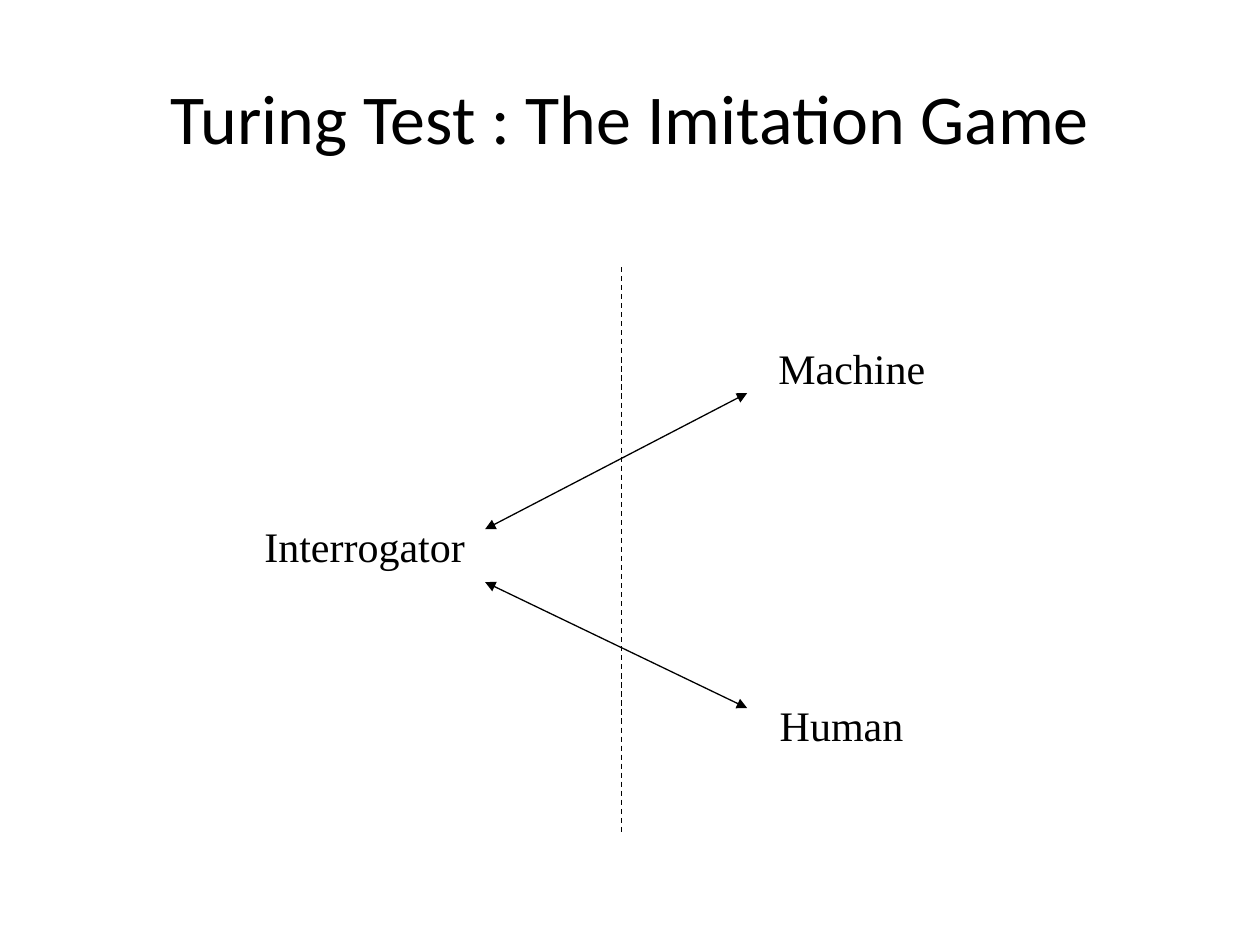
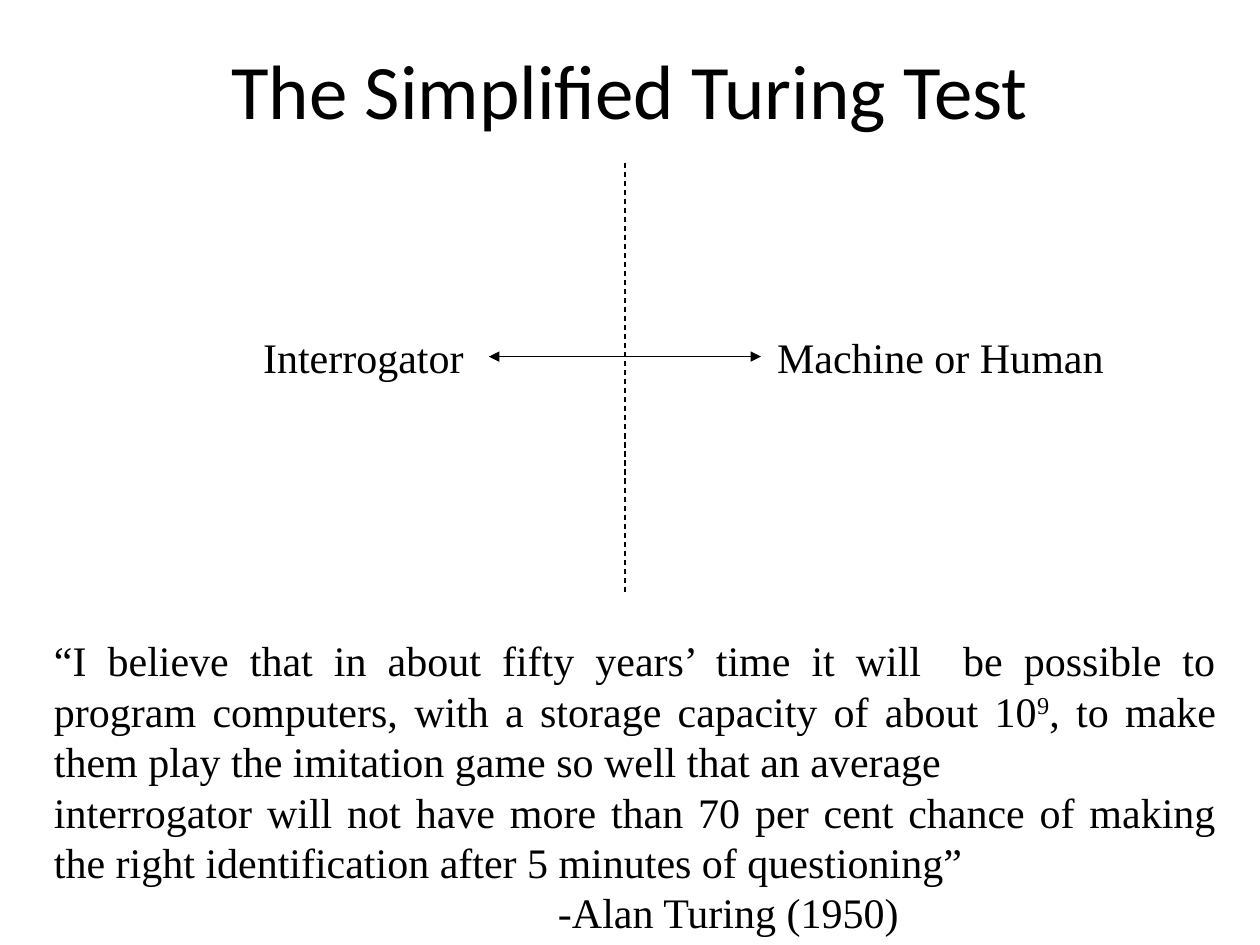
import pptx
import pptx.dml.color
import pptx.enum.dml
import pptx.enum.shapes
import pptx.enum.text
import pptx.oxml.ns
import pptx.util
from dataclasses import dataclass
from lxml import etree
from pptx.util import Inches

ALIGN = pptx.enum.text.PP_ALIGN


@dataclass(frozen=True)
class Theme:
    ink: pptx.dml.color.RGBColor = pptx.dml.color.RGBColor(0, 0, 0)
    title_font: str = "Calibri"
    body_font: str = "Times New Roman"
    body_size: int = 24
    line_width: float = 0.75
    superscript: int = 30000


theme = Theme()


def write(paragraph, text, font=theme.body_font, size=theme.body_size,
          align=ALIGN.LEFT, baseline=None):
    """Append formatted text to a paragraph."""
    paragraph.alignment = align
    run = paragraph.add_run()
    run.text = text
    run.font.name = font
    run.font.size = pptx.util.Pt(size)
    run.font.color.rgb = theme.ink
    if baseline:
        run.font._element.set("baseline", str(baseline))


def draw_line(slide, start, end, arrows=False):
    """Draw a two-headed arrow, or a dashed divider."""
    line = slide.shapes.add_connector(
        pptx.enum.shapes.MSO_CONNECTOR.STRAIGHT,
        *(Inches(value) for value in (*start, *end)))
    line.line.color.rgb = theme.ink
    line.line.width = pptx.util.Pt(theme.line_width)
    if arrows:
        outline = line.line._get_or_add_ln()
        for tag in ("a:headEnd", "a:tailEnd"):
            etree.SubElement(outline, pptx.oxml.ns.qn(tag), type="triangle")
    else:
        line.line.dash_style = pptx.enum.dml.MSO_LINE.DASH
    etree.SubElement(line._element.spPr, pptx.oxml.ns.qn("a:effectLst"))


presentation = pptx.Presentation()
presentation.slide_width = Inches(10)
presentation.slide_height = Inches(7.5)
title_only = presentation.slide_layouts[5]

# Each diagram: players as (name, left, top, width), arrows and a divider
diagrams = [
    dict(title="Turing Test : The Imitation Game", title_top=0.3, title_size=40,
         players=[("Interrogator", 2, 4.08, 1.8),
                  ("Machine", 6.08, 2.67, 1.4),
                  ("Human", 6.09, 5.5, 1.2)],
         arrows=[((3.85, 4.2), (5.93, 3.12)), ((3.85, 4.62), (5.93, 5.62))],
         divider=((4.93, 2.12), (4.93, 6.62))),
    dict(title="The Simplified Turing Test", title_top=0.08, title_size=44,
         players=[("Interrogator", 1.99, 2.58, 1.8),
                  ("Machine or Human", 6.07, 2.58, 2.8)],
         arrows=[((3.88, 2.83), (6.04, 2.83))],
         divider=((4.96, 1.29), (4.96, 4.71))),
]

for diagram in diagrams:
    slide = presentation.slides.add_slide(title_only)

    # Title
    title = slide.shapes.title
    title.left, title.top = Inches(0.5), Inches(diagram["title_top"])
    title.width, title.height = Inches(9), Inches(1.25)
    title.text_frame.vertical_anchor = pptx.enum.text.MSO_ANCHOR.MIDDLE
    write(title.text_frame.paragraphs[0], diagram["title"], font=theme.title_font,
          size=diagram["title_size"], align=ALIGN.CENTER)

    # Players, in boxes that fit their names on one line
    for name, left, top, width in diagram["players"]:
        label = slide.shapes.add_textbox(
            Inches(left), Inches(top), Inches(width), Inches(0.5))
        label.text_frame.word_wrap = False
        label.text_frame.auto_size = pptx.enum.text.MSO_AUTO_SIZE.SHAPE_TO_FIT_TEXT
        write(label.text_frame.paragraphs[0], name)

    # Conversation arrows and the divider between the players
    for start, end in diagram["arrows"]:
        draw_line(slide, start, end, arrows=True)
    draw_line(slide, *diagram["divider"])

# Quotation below the simplified test
quotation = slide.shapes.add_textbox(
    Inches(0.33), Inches(4.99), Inches(9.42), Inches(2.5)).text_frame
quotation.word_wrap = True
prediction = quotation.paragraphs[0]
for text, baseline in [
        ("“I believe that in about fifty years’ time it will  be possible to program "
         "computers, with a storage capacity of about 10", None),
        ("9", theme.superscript),
        (", to make them play the imitation game so well that an average", None)]:
    write(prediction, text, align=ALIGN.JUSTIFY, baseline=baseline)
write(quotation.add_paragraph(),
      "interrogator will not have more than 70 per cent chance of making the right "
      "identification after 5 minutes of questioning”", align=ALIGN.JUSTIFY)
attribution = quotation.add_paragraph()
attribution._p.get_or_add_pPr().set("marL", str(Inches(4)))
write(attribution, "-Alan Turing (1950)", align=ALIGN.JUSTIFY)

presentation.save("out.pptx")
